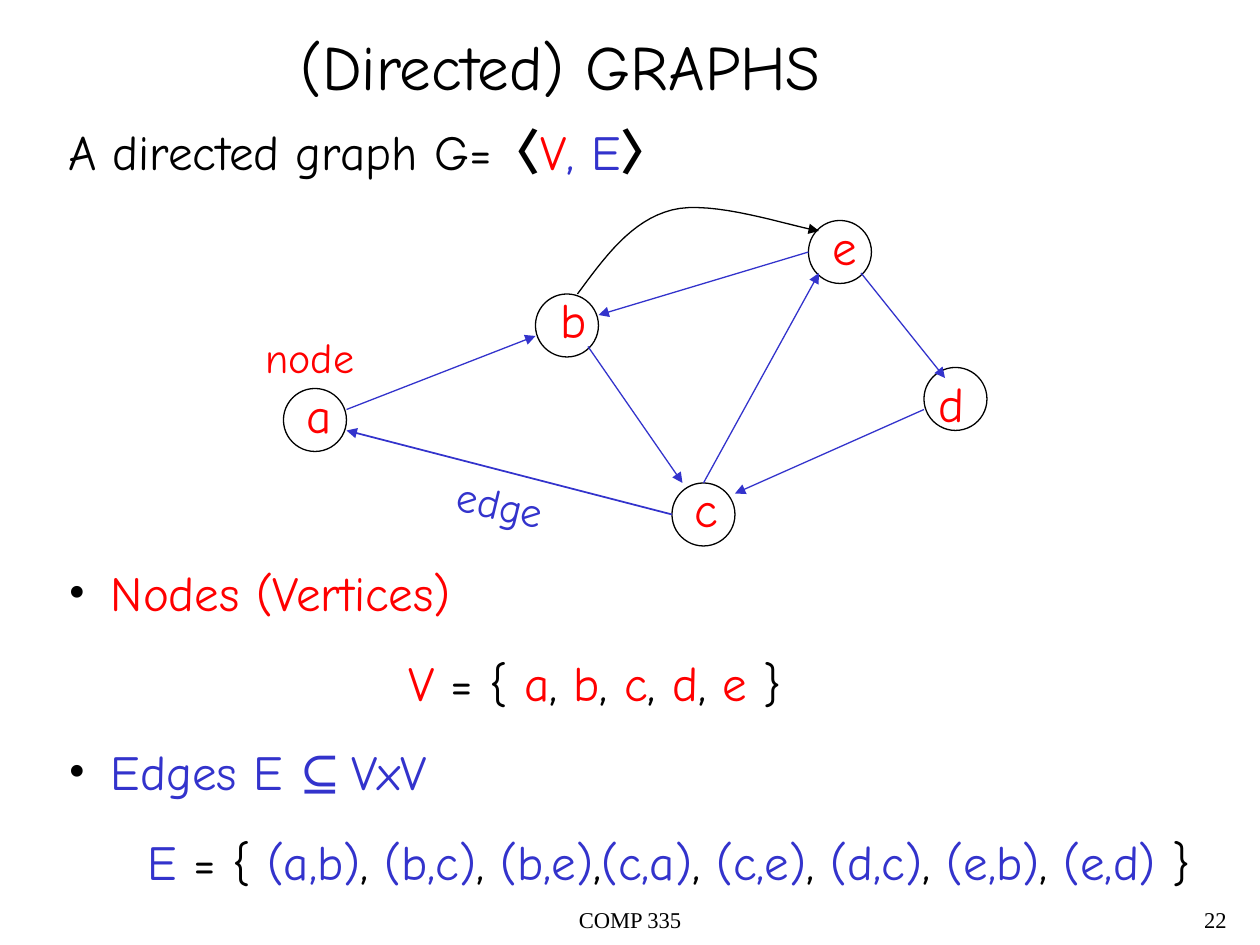
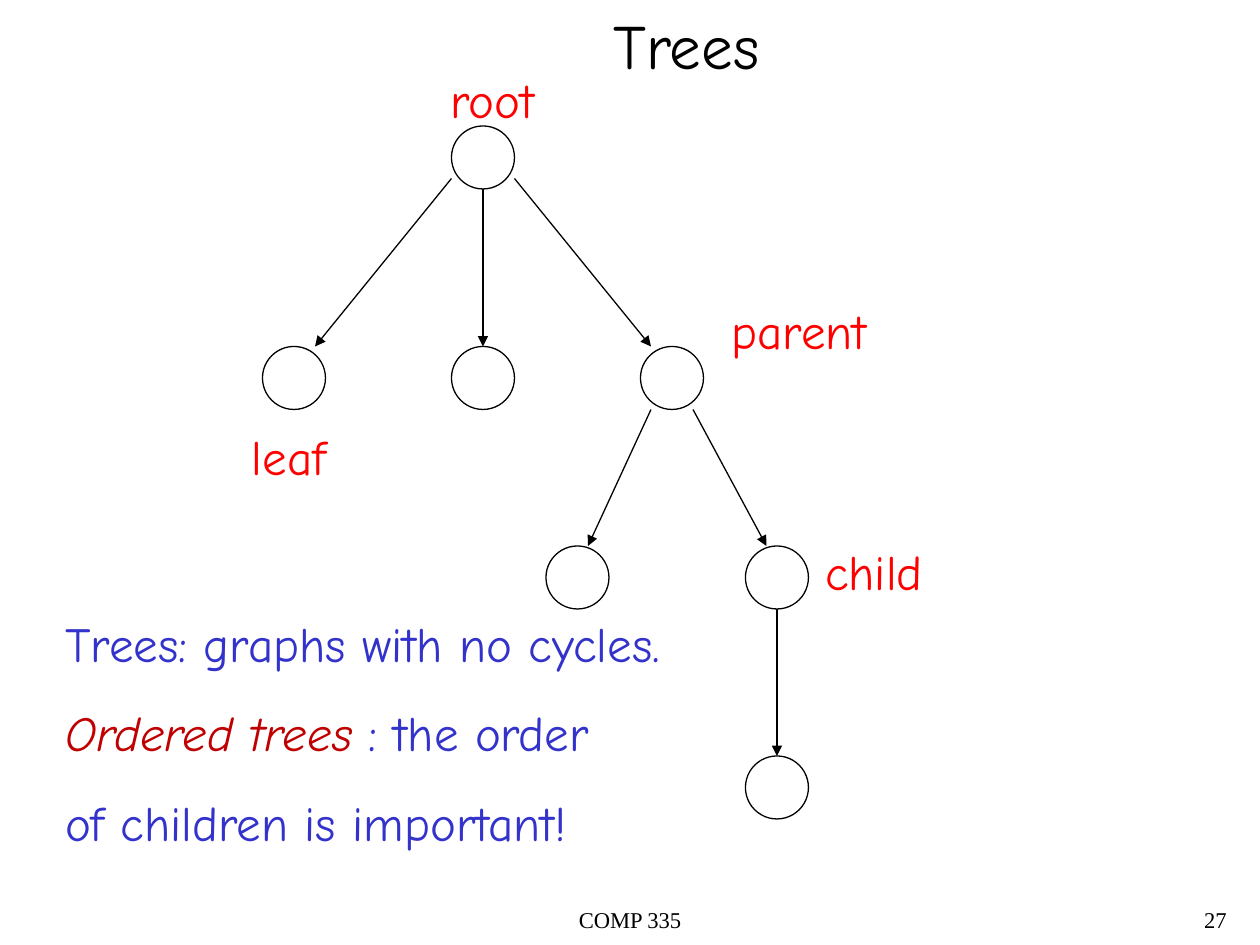
from dataclasses import dataclass
from typing import Optional

from lxml.etree import SubElement as Sub
from pptx import Presentation
from pptx.dml.color import RGBColor as Rgb
from pptx.enum.shapes import MSO_CONNECTOR as Link, MSO_SHAPE as Form
from pptx.enum.text import MSO_ANCHOR as Anchor, MSO_AUTO_SIZE as Fit, PP_ALIGN as Align
from pptx.oxml.ns import qn
from pptx.util import Cm, Pt

BLACK = Rgb(0x00, 0x00, 0x00)
RED = Rgb(0xFF, 0x00, 0x00)
BLUE = Rgb(0x33, 0x33, 0xCC)
WINE = Rgb(0xC0, 0x00, 0x00)
COMIC = "Comic Neue"
TIMES = "Times New Roman"
STEP = 2.54 / 12
SIDE = 6
HANG = 0.86


@dataclass
class Bit:
    text: str
    color: Rgb = BLACK
    font: str = COMIC
    bold: bool = False
    slant: bool = False


@dataclass
class Row:
    bits: list[Bit]
    indent: float = 0
    dot: bool = False


@dataclass
class Label:
    text: str
    x: float
    y: float
    wide: float
    color: Rgb = RED
    size: float = 28
    turn: float = 0


@dataclass
class Edge:
    x1: float
    y1: float
    x2: float
    y2: float
    color: Rgb = BLACK
    width: float = 0.75


def grid(count: float) -> Cm:
    return Cm(count * STEP)


def place(shape, x: float, y: float, wide: float, high: float) -> None:
    shape.left, shape.top = grid(x), grid(y)
    shape.width, shape.height = grid(wide), grid(high)


def write(shape, rows: list[Row], *, size: float = 28, gap: float = 17.5,
          align=Align.LEFT, wrap: bool = True, lead: Optional[float] = None) -> None:
    frame = shape.text_frame
    frame.auto_size = Fit.NONE
    frame.word_wrap = wrap
    frame.vertical_anchor = Anchor.TOP
    for i, row in enumerate(rows):
        para = frame.paragraphs[0] if i == 0 else frame.add_paragraph()
        props = para._p.get_or_add_pPr()
        props.set("marL", str(Cm(HANG if row.dot else row.indent)))
        props.set("indent", str(-Cm(HANG) if row.dot else 0))
        if row.dot:
            tint = Sub(props, qn("a:buClr"))
            Sub(tint, qn("a:srgbClr"), val=str(BLACK))
            Sub(props, qn("a:buFont"), typeface=TIMES)
            Sub(props, qn("a:buChar"), char="•")
        else:
            Sub(props, qn("a:buNone"))
        para.alignment = align
        para.space_before = Pt(gap if i else 0)
        if lead:
            para.line_spacing = lead
        for bit in row.bits:
            run = para.add_run()
            run.text = bit.text
            font = run.font
            font.name, font.size = bit.font, Pt(size)
            font.bold, font.italic = bit.bold, bit.slant
            font.color.rgb = bit.color


def box(slide, x: float, y: float, wide: float, high: float):
    return slide.shapes.add_textbox(grid(x), grid(y), grid(wide), grid(high))


def tag(slide, label: Label) -> None:
    shape = box(slide, label.x, label.y, label.wide, label.size * 0.245)
    shape.rotation = label.turn
    write(shape, [Row([Bit(label.text, label.color)])], size=label.size, wrap=False)


def ring(slide, x: float, y: float) -> None:
    shape = slide.shapes.add_shape(Form.OVAL, grid(x), grid(y), grid(SIDE), grid(SIDE))
    shape.shadow.inherit = False
    shape.fill.background()
    shape.line.color.rgb = BLACK
    shape.line.width = Pt(0.75)


def point(shape, color: Rgb, width: float) -> None:
    shape.line.color.rgb = color
    shape.line.width = Pt(width)
    Sub(shape.line._get_or_add_ln(), qn("a:tailEnd"), type="triangle")


def arrow(slide, edge: Edge) -> None:
    ends = [grid(n) for n in (edge.x1, edge.y1, edge.x2, edge.y2)]
    line = slide.shapes.add_connector(Link.STRAIGHT, *ends)
    point(line, edge.color, edge.width)
    Sub(line._element.spPr, qn("a:effectLst"))


def curve(slide, start: tuple, parts: list[tuple], steps: int = 16) -> None:
    dots, here = [], start
    for one, two, end in parts:
        for k in range(1, steps + 1):
            t = k / steps
            u = 1 - t
            dots.append(tuple(
                grid(u**3 * a + 3 * u * u * t * b + 3 * u * t * t * c + t**3 * d)
                for a, b, c, d in zip(here, one, two, end)))
        here = end
    pen = slide.shapes.build_freeform(grid(start[0]), grid(start[1]))
    pen.add_line_segments(dots, close=False)
    shape = pen.convert_to_shape()
    shape.shadow.inherit = False
    shape.fill.background()
    point(shape, BLACK, 0.75)


def group(name: str, parts: list[str], color: Rgb) -> list[Bit]:
    bits = [Bit(name, color), Bit(" = { ")]
    for i, part in enumerate(parts):
        if i:
            bits.append(Bit(","))
        bits.append(Bit(part, color))
    return bits + [Bit(" }")]


def begin(deck, title: str, number: str, spot: tuple, body: tuple, rows: list[Row]):
    slide = deck.slides.add_slide(deck.slide_layouts[1])
    head, main = slide.placeholders
    place(head, *spot)
    write(head, [Row([Bit(title)])], size=36)
    place(main, *body)
    write(main, rows)
    for text, x, wide, align in (("COMP 335", 41, 38, Align.CENTER),
                                 (number, 93, 25, Align.RIGHT)):
        write(box(slide, x, 86, wide, 4), [Row([Bit(text, font=TIMES)])],
              size=12.9, align=align, lead=0.9)
    return slide


def graph(deck) -> None:
    pairs = ["(a,b)", " (b,c)", " (b,e)", "(c,a)", " (c,e)", " (d,c)", " (e,b)", " (e,d)"]
    rows = [
        Row([Bit("Nodes (Vertices)", RED)], dot=True),
        Row(group("V", ["a", " b", " c", " d", " e"], RED), indent=6.85),
        Row([Bit("Edges E ", BLUE), Bit("⊆ ", BLUE, "Cambria"), Bit("VxV", BLUE)], dot=True),
        Row(group("E", pairs, BLUE), indent=1.6),
    ]
    slide = begin(deck, "(Directed) GRAPHS", "22", (27.4, 2, 75.2, 8.4),
                  (5.3, 53, 114, 32.4), rows)
    write(box(slide, 5.3, 11, 53.8, 6.8),
          [Row([Bit("A directed graph G="), Bit("〈", bold=True), Bit("V", RED),
                Bit(", E", BLUE), Bit("〉", bold=True)])], wrap=False)
    for x, y in ((64, 46), (51, 28), (88, 35), (27, 37), (77, 21)):
        ring(slide, x, y)
    for ends in ((33, 39, 51, 32), (56, 33, 65, 46), (67, 46, 78, 26),
                 (88, 39, 70, 47), (82, 26, 90, 36), (77, 24, 57, 30)):
        arrow(slide, Edge(*ends, BLUE))
    arrow(slide, Edge(64, 49, 33, 41, BLUE, 1))
    curve(slide, (55, 28), [((57.6, 24.5), (60.1, 21), (64, 20)),
                            ((67.8, 19), (75.1, 21.5), (78, 22))])
    for label in (Label("a", 28, 36, 4.8), Label("b", 52.2, 27, 4.9),
                  Label("c", 65, 45, 4.6), Label("d", 88.2, 35, 4.8),
                  Label("e", 78.1, 20, 4.7), Label("node", 24.1, 31, 10.8, size=24),
                  Label("edge", 42.4, 45, 10.7, BLUE, 24, 12.3)):
        tag(slide, label)


def tree(deck) -> None:
    rows = [
        Row([Bit("Trees: graphs with no cycles.", BLUE)]),
        Row([Bit("Ordered trees ", WINE, slant=True), Bit(": the order", BLUE)]),
        Row([Bit("of children is important!", BLUE)]),
    ]
    slide = begin(deck, "Trees", "27", (57.2, 0, 20, 8.4), (5, 57.8, 62, 23.9), rows)
    for x, y in ((43, 12), (25, 33), (43, 33), (61, 33), (52, 52), (71, 52), (71, 72)):
        ring(slide, x, y)
    for ends in ((43, 17, 30, 33), (46, 18, 46, 33), (49, 17, 62, 33),
                 (62, 39, 56, 52), (66, 39, 73, 52), (74, 58, 74, 72)):
        arrow(slide, Edge(*ends))
    for label in (Label("root", 41.7, 6, 10.4), Label("leaf", 22.8, 40, 9.5),
                  Label("parent", 68.5, 28, 15.4), Label("child", 77.4, 51, 11.6)):
        tag(slide, label)


def main() -> None:
    deck = Presentation()
    deck.slide_width, deck.slide_height = Cm(25.4), Cm(19.05)
    graph(deck)
    tree(deck)
    deck.save("out.pptx")


if __name__ == "__main__":
    main()
